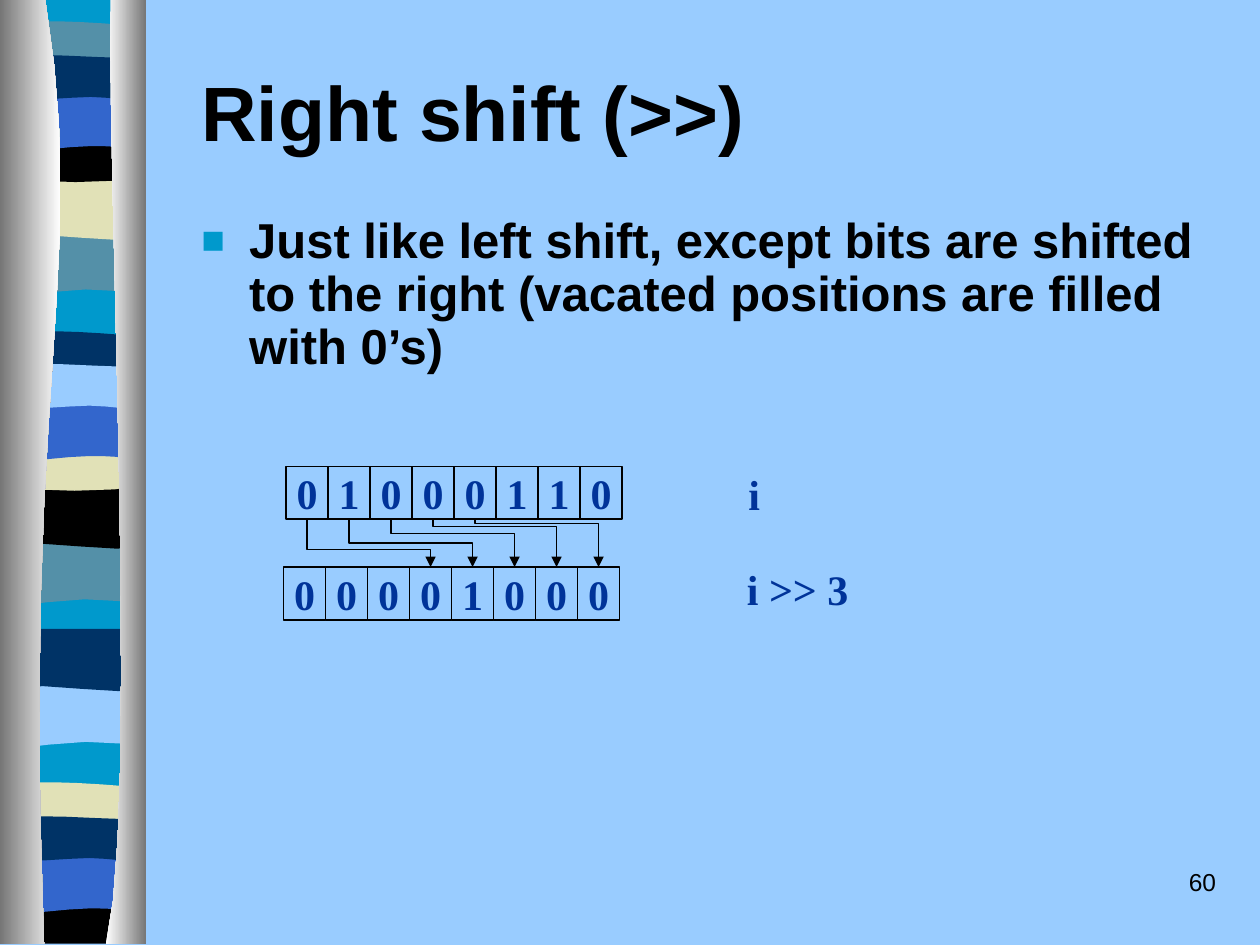
from lxml.etree import SubElement
from pptx import Presentation
from pptx.dml.color import RGBColor
from pptx.enum.shapes import MSO_CONNECTOR, MSO_SHAPE
from pptx.enum.text import MSO_ANCHOR, PP_ALIGN
from pptx.oxml.ns import qn
from pptx.util import Inches, Pt

COLORS = {"sky": "99CCFF", "cyan": "0099CC", "teal": "5490A8", "navy": "003366",
          "blue": "3366CC", "black": "000000", "sand": "E1E1B7", "digit": "003399",
          "grey": "767676", "white": "FFFFFF"}
TITLE = "Right shift (>>)"
BODY = ("Just like left shift, except bits are shifted to the right "
        "(vacated positions are filled with 0’s)")
SLIDE_NUMBER = "60"

# Bits of a row, its left and top
BIT_ROWS = [("01000110", 2.27, 3.7), ("00001000", 2.25, 4.5)]
# Expression, its left, top, width and whether it wraps
EXPRESSIONS = [("i", 5.84, 3.67, 0.29, False), ("i >> 3", 5.83, 4.42, 1.09, True)]
CELL_WIDTH, CELL_HEIGHT = 1 / 3, 0.42
SHIFT = 3
BEND_SHARES = [0.64, 0.5, 0.3, 0.16, 0.09]  # where each shift arrow turns

# Outlines from the band's left top corner: a pair is a straight step,
# three pairs are a cubic curve
WIDE = 1.08
BAND_FORMS = {
    "base": [(WIDE, 0), (WIDE, 7.47), (0, 7.47), (0, 0)],
    "dip": [(WIDE, 0), (WIDE, 0.47), ((0.33, 0.39), (0.18, 0.55), (0, 0.47)), (0, 0)],
    "swell": [(WIDE, 0), (WIDE, 0.47), ((0.9, 0.55), (0.33, 0.41), (0, 0.47)), (0, 0)],
    "slab": [(WIDE, 0.05), (WIDE, 0.29), ((0.9, 0.33), (0.18, 0.33), (0, 0.29)),
             (0, 0.05), ((0.06, 0), (0.23, 0.01), (0.41, 0.01)),
             ((0.59, 0.01), (0.94, 0.04), (WIDE, 0.05))],
    "bowl": [(WIDE, 0), (WIDE, 0.32), ((0.9, 0.38), (0.18, 0.38), (0, 0.32)),
             (0, 0), ((0.66, 0.05), (0.85, 0), (WIDE, 0))],
    "arch": [(WIDE, 0), (WIDE, 0.47), ((0.91, 0.42), (0.84, 0.42), (0.66, 0.42)),
             ((0.48, 0.42), (0.16, 0.47), (0, 0.47)), (0, 0)],
    "ribbon": [(WIDE, 0.05), (WIDE, 0.36), ((1.01, 0.41), (0.84, 0.36), (0.66, 0.36)),
               ((0.48, 0.36), (0.11, 0.41), (0, 0.36)), (0, 0.05),
               ((0.15, 0), (0.73, 0.05), (0.91, 0.05)), (WIDE, 0.05)],
    "foot": [(WIDE, 0), (WIDE, 0.37), (0, 0.37), (0, 0),
             ((0.66, 0.05), (0.85, 0), (WIDE, 0))],
}
# Form, colour, left and top, from back to front
BANDS = [
    ("base", "cyan", 0.06, 0), ("dip", "teal", 0.06, 1.85),
    ("swell", "sand", 0.06, 1.41), ("slab", "teal", 0.06, 0.16),
    ("bowl", "black", 0.06, 1.08), ("arch", "blue", 0.06, 0.74),
    ("ribbon", "navy", 0.06, 0.41), ("dip", "teal", 0.05, 4.31),
    ("swell", "black", 0.05, 3.86), ("slab", "navy", 0.05, 2.62),
    ("bowl", "sand", 0.05, 3.53), ("arch", "blue", 0.05, 3.2),
    ("ribbon", "sky", 0.05, 2.86), ("dip", "sky", 0.06, 5.44),
    ("swell", "navy", 0.06, 4.99), ("slab", "sand", 0.05, 6.2),
    ("foot", "black", 0.05, 7.12), ("arch", "blue", 0.05, 6.79),
    ("ribbon", "navy", 0.05, 6.45)]
# Outline and colours from left to right
PILLARS = [
    ([(0, 0), (0.36, 0), ((0.71, 2.16), (0.17, 2.96), (0.35, 7.49)), (0, 7.49)],
     ("grey", "white")),
    ([(1.16, 0), (0.88, 0), ((0.84, 1.25), (1.11, 6.46), (0.84, 7.49)), (1.16, 7.49)],
     ("white", "grey"))]
UNITS_PER_INCH = 1000

prs = Presentation()
prs.slide_width, prs.slide_height = Inches(10), Inches(7.5)
slide = prs.slides.add_slide(prs.slide_layouts[6])
shapes = slide.shapes


def color(name):
    return RGBColor.from_string(COLORS[name])


def cubic(start, control1, control2, end, steps):
    for step in range(1, steps + 1):
        t = step / steps
        weights = ((1 - t) ** 3, 3 * t * (1 - t) ** 2, 3 * t * t * (1 - t), t ** 3)
        yield tuple(sum(w * p[axis] for w, p in zip(weights, (start, control1, control2, end)))
                    for axis in (0, 1))


def outline(segments, left=0, top=0, steps=4):
    points = []
    for segment in segments:
        points += cubic(points[-1], *segment, steps) if len(segment) == 3 else [segment]
    points = [(round((left + x) * UNITS_PER_INCH), round((top + y) * UNITS_PER_INCH))
              for x, y in points]
    builder = shapes.build_freeform(*points[0], scale=Inches(1) / UNITS_PER_INCH)
    builder.add_line_segments(points[1:], close=True)
    shape = builder.convert_to_shape()
    shape.shadow.inherit = False
    shape.line.fill.background()
    return shape


def write(frame, text, size, font="Arial", ink="black", bold=True, wrap=True,
          align=PP_ALIGN.LEFT, anchor=MSO_ANCHOR.TOP, bullet=None, spacing=None,
          inset=(0.1, 0.05)):
    frame.word_wrap = wrap
    frame.vertical_anchor = anchor
    frame.margin_left = frame.margin_right = Inches(inset[0])
    frame.margin_top = frame.margin_bottom = Inches(inset[1])
    paragraph = frame.paragraphs[0]
    paragraph.alignment = align
    if spacing:
        paragraph.line_spacing = spacing
    if bullet:
        props = paragraph._p.get_or_add_pPr()
        props.set("marL", str(Inches(0.38)))
        props.set("indent", str(-Inches(0.38)))
        SubElement(SubElement(props, qn("a:buClr")), qn("a:srgbClr")).set("val", COLORS["cyan"])
        SubElement(props, qn("a:buSzPct")).set("val", "80000")
        SubElement(props, qn("a:buFont")).set("typeface", "Arial")
        SubElement(props, qn("a:buChar")).set("char", bullet)
    run = paragraph.add_run()
    run.text = text
    run.font.size, run.font.name, run.font.bold = Pt(size), font, bold
    run.font.color.rgb = color(ink)


def text_box(left, top, width, height, text, size, **style):
    box = shapes.add_textbox(*map(Inches, (left, top, width, height)))
    write(box.text_frame, text, size, **style)


def bit_cell(left, top, bit):
    cell = shapes.add_shape(MSO_SHAPE.RECTANGLE,
                            *map(Inches, (left, top, CELL_WIDTH, CELL_HEIGHT)))
    cell.shadow.inherit = False
    cell.fill.background()
    cell.line.color.rgb, cell.line.width = color("black"), Pt(0.75)
    write(cell.text_frame, bit, 24, font="Times New Roman", ink="digit", wrap=False,
          align=PP_ALIGN.CENTER, anchor=MSO_ANCHOR.MIDDLE, inset=(0, 0))


def shift_arrow(start, end, bend):
    """Elbow that leaves downwards: a sideways one, mirrored and turned."""
    (x1, y1), (x2, y2) = start, end
    middle_x, middle_y = (x1 + x2) / 2, (y1 + y2) / 2
    half_drop, half_run = (y2 - y1) / 2, (x2 - x1) / 2
    arrow = shapes.add_connector(MSO_CONNECTOR.ELBOW, *map(Inches, (
        middle_x + half_drop, middle_y - half_run,
        middle_x - half_drop, middle_y + half_run)))
    arrow.line.color.rgb, arrow.line.width = color("black"), Pt(0.75)
    props = arrow._element.spPr
    props.find(qn("a:xfrm")).set("rot", str(270 * 60000))
    guide = SubElement(props.find(qn("a:prstGeom")).find(qn("a:avLst")), qn("a:gd"))
    guide.set("name", "adj1")
    guide.set("fmla", f"val {round(bend * 100000)}")
    SubElement(props.find(qn("a:ln")), qn("a:tailEnd")).set("type", "triangle")
    SubElement(props, qn("a:effectLst"))


slide.background.fill.solid()
slide.background.fill.fore_color.rgb = color("sky")

for form, shade, left, top in BANDS:
    band = outline(BAND_FORMS[form], left, top)
    band.fill.solid()
    band.fill.fore_color.rgb = color(shade)

for segments, shades in PILLARS:
    pillar = outline(segments, steps=12)
    pillar.fill.gradient()
    pillar.fill.gradient_angle = 0
    for stop, shade in zip(pillar.fill.gradient_stops, shades):
        stop.color.rgb = color(shade)

text_box(1.5, 0.25, 8.5, 1.25, TITLE, 44, anchor=MSO_ANCHOR.MIDDLE)
text_box(1.5, 1.67, 8.17, 1.42, BODY, 28, bullet="■", spacing=0.9)

for bits, left, top in BIT_ROWS:
    for column, bit in enumerate(bits):
        bit_cell(left + column * CELL_WIDTH, top, bit)

for expression, left, top, width, wrap in EXPRESSIONS:
    text_box(left, top, width, 0.5, expression, 24, font="Times New Roman",
             ink="digit", wrap=wrap)

(_, source_left, source_top), (_, target_left, target_top) = BIT_ROWS
for column, bend in enumerate(BEND_SHARES):
    shift_arrow((source_left + (column + 0.5) * CELL_WIDTH, source_top + CELL_HEIGHT),
                (target_left + (column + SHIFT + 0.5) * CELL_WIDTH, target_top), bend)

text_box(7.67, 6.83, 2.08, 0.5, SLIDE_NUMBER, 14, bold=False, align=PP_ALIGN.RIGHT)

prs.save("out.pptx")
